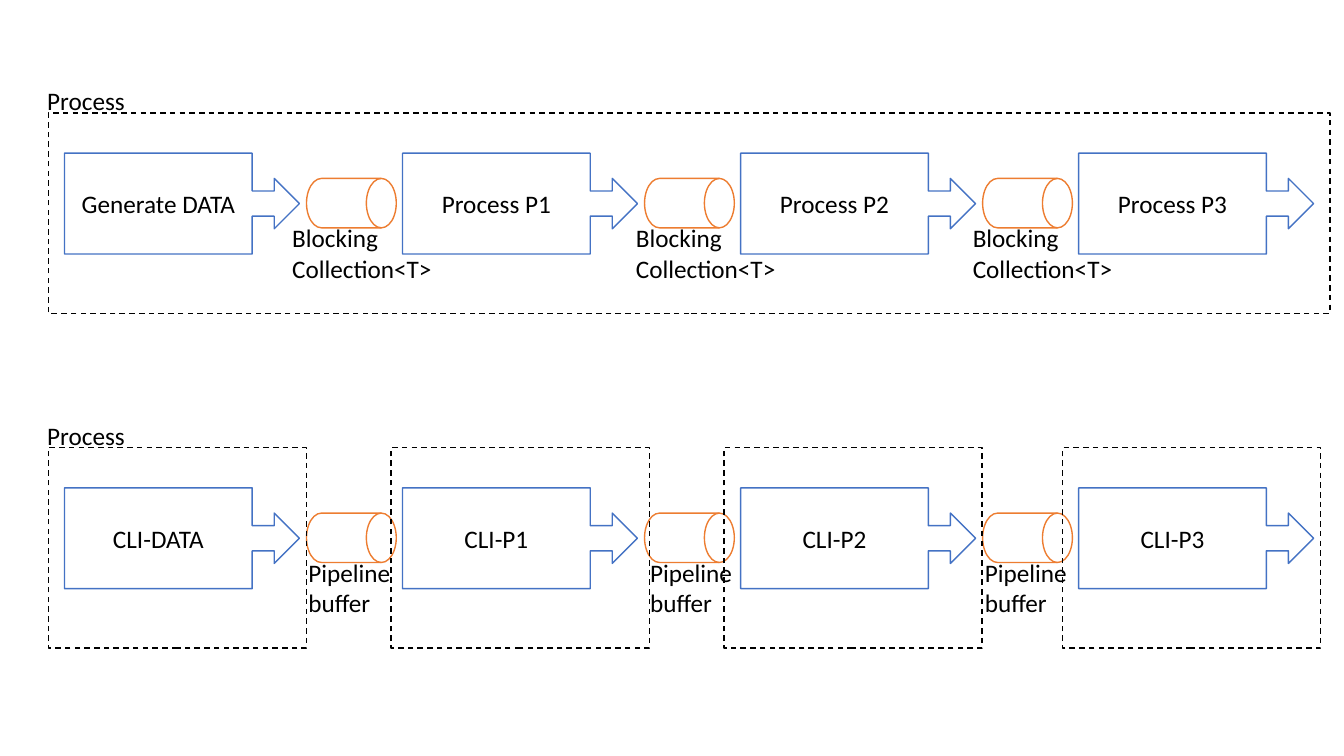
import pptx
import pptx.util
import pptx.dml.color
import pptx.enum.dml
import pptx.enum.shapes
import pptx.enum.text

Inches = pptx.util.Inches
MSO = pptx.enum.shapes.MSO_SHAPE
PP = pptx.enum.text.PP_ALIGN
COLORS = {"white": "FFFFFF", "black": "000000", "blue": "4472C4", "orange": "ED7D31"}

prs = pptx.Presentation()
prs.slide_width = Inches(13.33)
prs.slide_height = Inches(7.5)
s = prs.slides.add_slide(prs.slide_layouts[6])


def write(tf, text, size=18, color="black", align=PP.LEFT,
          anchor=pptx.enum.text.MSO_ANCHOR.TOP, wrap=False):
    tf.word_wrap = wrap
    tf.vertical_anchor = anchor
    for i, line in enumerate(text.split("\n")):
        p = tf.paragraphs[0] if i == 0 else tf.add_paragraph()
        p.alignment = align
        r = p.add_run()
        r.text = line
        r.font.name = "Calibri"
        r.font.size = pptx.util.Pt(size)
        r.font.color.rgb = pptx.dml.color.RGBColor.from_string(COLORS[color])


def add_box(kind, x, y, w, h, line, fill=None):
    sp = s.shapes.add_shape(kind, Inches(x), Inches(y), Inches(w), Inches(h))
    sp.shadow.inherit = False
    if fill:
        sp.fill.solid()
        sp.fill.fore_color.rgb = pptx.dml.color.RGBColor.from_string(COLORS[fill])
    else:
        sp.fill.background()
    sp.line.color.rgb = pptx.dml.color.RGBColor.from_string(COLORS[line])
    sp.line.width = pptx.util.Pt(1)
    return sp


pitch = 3.353
rows = [
    {"top": 1.12, "steps": ["Generate DATA", "Process P1", "Process P2", "Process P3"],
     "buffer": "Blocking\nCollection<T>", "buffer_x": [2.8, 6.21, 9.55], "buffer_w": 1.6,
     "frame_x": [0.48], "frame_w": 12.71},
    {"top": 4.44, "steps": ["CLI-DATA", "CLI-P1", "CLI-P2", "CLI-P3"],
     "buffer": "Pipeline\nbuffer", "buffer_x": [2.96, 6.35, 9.67], "buffer_w": 1.03,
     "frame_x": [0.48, 3.88, 7.18, 10.54], "frame_w": 2.56},
]

for row in rows:
    top = row["top"]
    for i, step in enumerate(row["steps"]):
        sp = add_box(MSO.RIGHT_ARROW_CALLOUT, 0.64 + i * pitch, top + 0.4, 2.33, 1, "blue", "white")
        for k, value in enumerate([0.25, 0.25, 0.25, 0.799]):
            sp.adjustments[k] = value
        write(sp.text_frame, step, align=PP.CENTER,
              anchor=pptx.enum.text.MSO_ANCHOR.MIDDLE, wrap=True)

    for i in range(len(row["steps"]) - 1):
        add_box(MSO.FLOWCHART_DIRECT_ACCESS_STORAGE, 3.04 + i * pitch, top + 0.65,
                0.89, 0.49, "orange", "white")

    for x in row["frame_x"]:
        sp = add_box(MSO.RECTANGLE, x, top, row["frame_w"], 1.99, "black")
        sp.line.dash_style = pptx.enum.dml.MSO_LINE.DASH

    labels = [(x, top + 1.04, row["buffer_w"], 0.71, row["buffer"]) for x in row["buffer_x"]]
    labels.append((0.37, top - 0.32, 0.98, 0.4, "Process"))
    for x, y, w, h, text in labels:
        sp = s.shapes.add_textbox(Inches(x), Inches(y), Inches(w), Inches(h))
        write(sp.text_frame, text)

prs.save("out.pptx")
